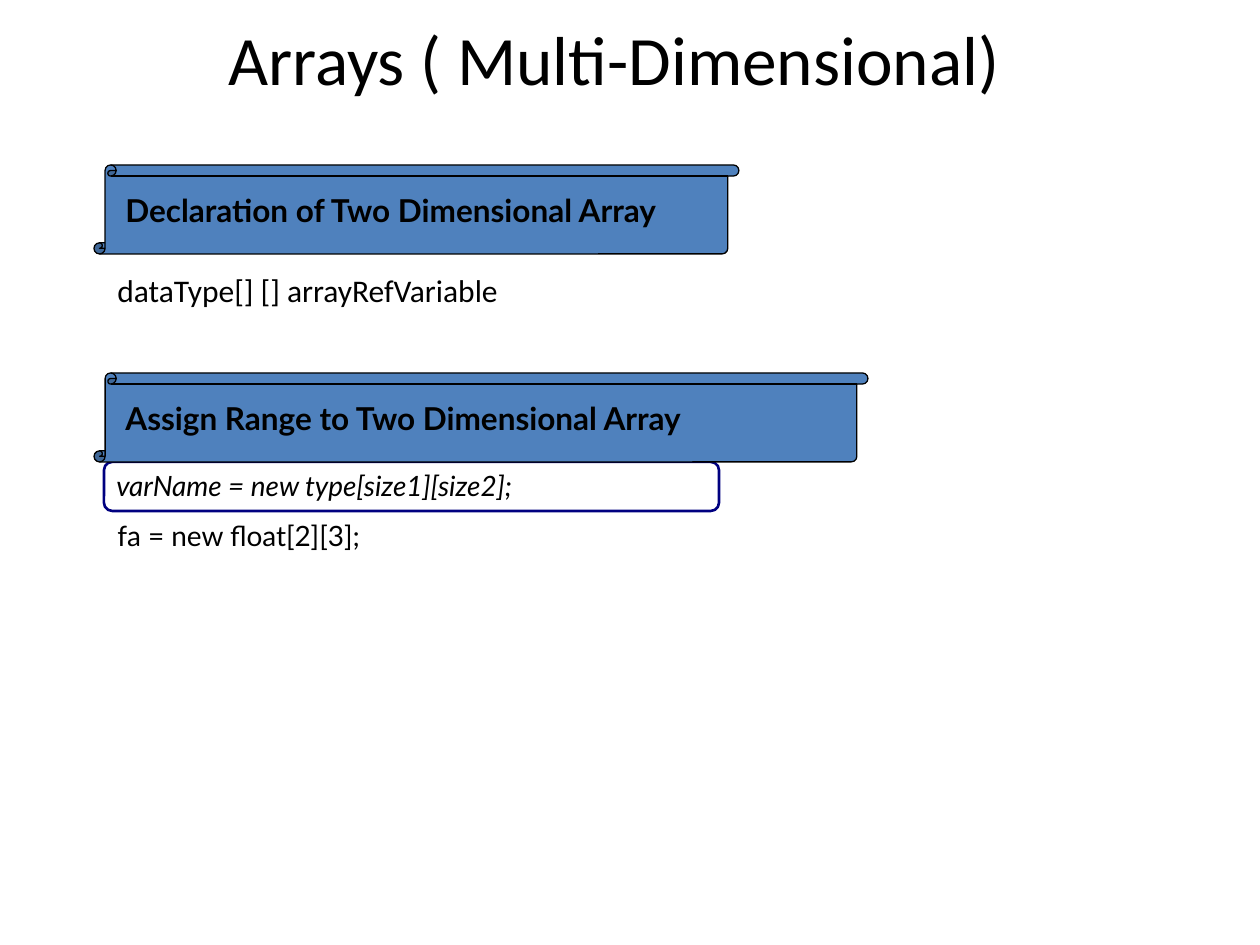
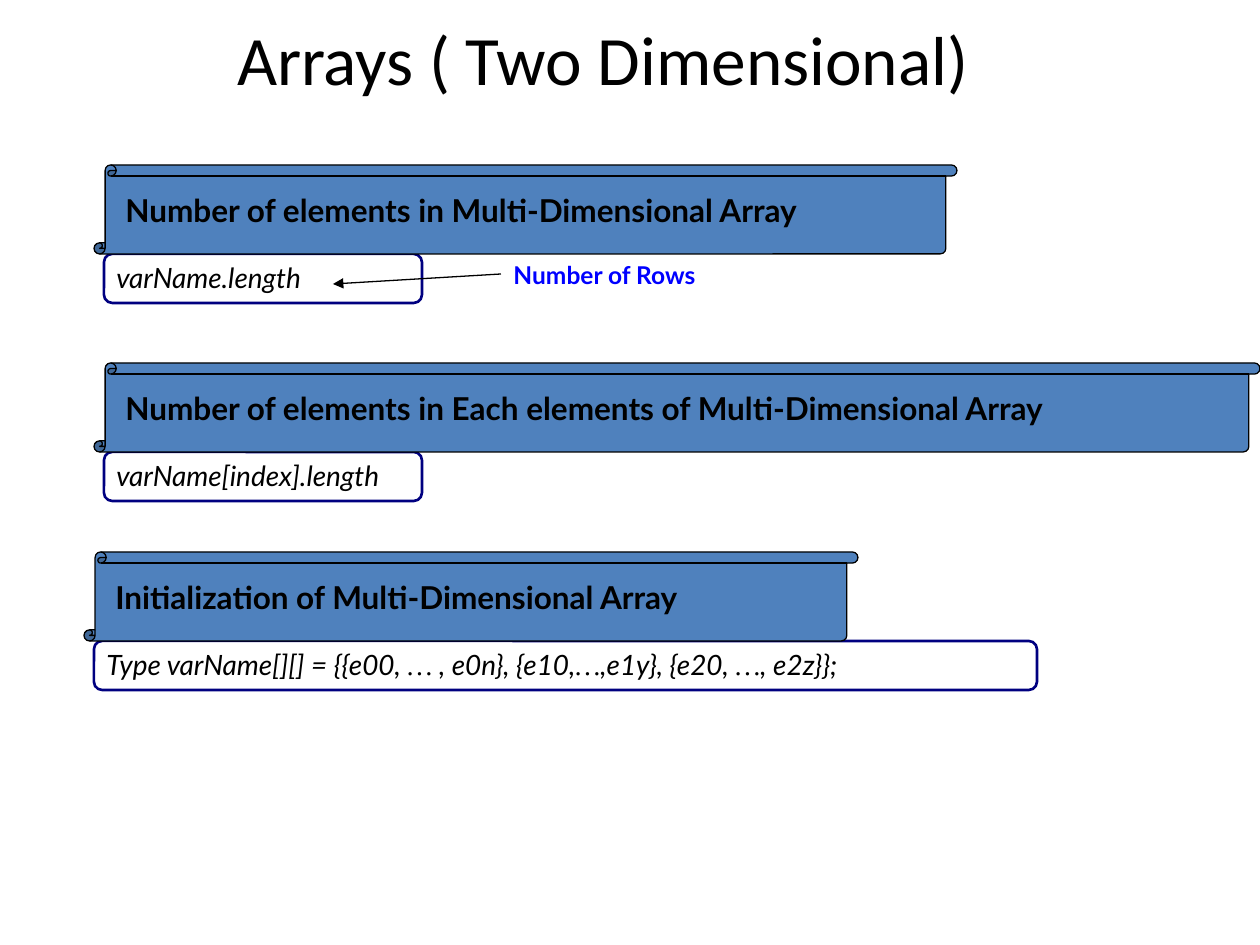
from dataclasses import dataclass
from typing import Optional

import pptx
import pptx.dml.color
import pptx.enum.shapes
import pptx.enum.text
import pptx.oxml
import pptx.oxml.ns
import pptx.util

EMU_PER_PIXEL = 914400 / 126
SLIDE_SIZE = (1260, 945)
RGB = pptx.dml.color.RGBColor
SHAPES = pptx.enum.shapes.MSO_SHAPE
ANCHOR = pptx.enum.text.MSO_ANCHOR
ALIGN = pptx.enum.text.PP_ALIGN


@dataclass(frozen=True)
class TextStyle:
    size: float
    font: str = "Lato"
    color: RGB = RGB(0, 0, 0)
    bold: bool = False
    italic: bool = False


@dataclass(frozen=True)
class Theme:
    ink: RGB = RGB(0, 0, 0)
    scroll: RGB = RGB(0x4F, 0x81, 0xBD)
    frame: RGB = RGB(0, 0, 0x80)
    thin: float = 0.75
    thick: float = 1.5
    ellipsis_font: str = "Times New Roman"
    title: TextStyle = TextStyle(39.6, "Calibri")
    heading: TextStyle = TextStyle(18, bold=True)
    syntax: TextStyle = TextStyle(16, italic=True)
    example: TextStyle = TextStyle(16)
    declaration: TextStyle = TextStyle(18, "Calibri")
    remark: TextStyle = TextStyle(14, color=RGB(0, 0, 0xFF), bold=True)


@dataclass(frozen=True)
class Box:
    left: int
    top: int
    width: int
    height: int

    def emu(self) -> tuple:
        return tuple(px(n) for n in (self.left, self.top, self.width, self.height))


@dataclass(frozen=True)
class Section:
    """A scroll with a heading and, below it, an optional framed line of syntax."""
    left: int
    top: int
    scroll_width: int
    heading: str
    heading_width: int
    syntax: Optional[str] = None
    frame_width: int = 0
    syntax_width: int = 0


THEME = Theme()
SCROLL_HEIGHT = 89
FRAME_HEIGHT = 49
SYNTAX_INDENT = 10
HEADING_INDENT = 19
HEADING_DROP = 20


def px(pixels: int) -> int:
    return pptx.util.Emu(round(pixels * EMU_PER_PIXEL))


def add_text(slide, box: Box, text: str, style: TextStyle,
             align=ALIGN.LEFT, anchor=ANCHOR.TOP) -> None:
    frame = slide.shapes.add_textbox(*box.emu()).text_frame
    frame.word_wrap = True
    frame.vertical_anchor = anchor
    paragraph = frame.paragraphs[0]
    paragraph.alignment = align
    font = paragraph.font
    font.size = pptx.util.Pt(style.size)
    font.name = style.font
    font.bold = style.bold
    font.italic = style.italic
    font.color.rgb = style.color
    # Ellipses are set in their own font
    for index, part in enumerate(text.split("…")):
        if index:
            ellipsis = paragraph.add_run()
            ellipsis.text = "…"
            ellipsis.font.name = THEME.ellipsis_font
        paragraph.add_run().text = part


def add_outline(slide, kind, box: Box, line: RGB, weight: float,
                fill: Optional[RGB] = None) -> None:
    shape = slide.shapes.add_shape(kind, *box.emu())
    shape.shadow.inherit = False
    shape.line.color.rgb = line
    shape.line.width = pptx.util.Pt(weight)
    if fill is None:
        shape.fill.background()
    else:
        shape.fill.solid()
        shape.fill.fore_color.rgb = fill


def add_section(slide, section: Section) -> None:
    left, top = section.left, section.top
    if section.syntax:
        syntax_left, syntax_top = left + SYNTAX_INDENT, top + SCROLL_HEIGHT
        add_outline(slide, SHAPES.ROUNDED_RECTANGLE,
                    Box(syntax_left, syntax_top, section.frame_width, FRAME_HEIGHT),
                    THEME.frame, THEME.thick)
        add_text(slide, Box(syntax_left, syntax_top, section.syntax_width, 47),
                 section.syntax, THEME.syntax)
    add_outline(slide, SHAPES.VERTICAL_SCROLL,
                Box(left, top, section.scroll_width, SCROLL_HEIGHT),
                THEME.ink, THEME.thin, THEME.scroll)
    add_text(slide, Box(left + HEADING_INDENT, top + HEADING_DROP, section.heading_width, 50),
             section.heading, THEME.heading)


def add_arrow(slide, start: tuple, end: tuple) -> None:
    arrow = slide.shapes.add_connector(pptx.enum.shapes.MSO_CONNECTOR.STRAIGHT,
                                       *(px(n) for n in start + end))
    arrow.line.color.rgb = THEME.ink
    arrow.line.width = pptx.util.Pt(THEME.thin)
    # Arrowhead, and no shadow
    qn, parent = pptx.oxml.ns.qn, arrow.line._get_or_add_ln()
    head = parent.makeelement(qn("a:tailEnd"), {"type": "triangle"})
    parent.append(head)
    properties = parent.getparent()
    properties.append(properties.makeelement(qn("a:effectLst"), {}))


def add_slide(deck, title: str, title_left: int, sections: list):
    slide = deck.slides.add_slide(deck.slide_layouts[6])
    add_text(slide, Box(title_left, 21, 1018, 73), title, THEME.title,
             ALIGN.CENTER, ANCHOR.MIDDLE)
    for section in sections:
        add_section(slide, section)
    return slide


deck = pptx.Presentation()
deck.slide_width, deck.slide_height = (px(n) for n in SLIDE_SIZE)

# Declaring and sizing
declaring = add_slide(deck, "Arrays ( Multi-Dimensional)", 105, [
    Section(94, 165, 645, "Declaration of Two Dimensional Array", 694),
    Section(94, 373, 774, "Assign Range to Two Dimensional Array", 725,
            "varName = new type[size1][size2];", 615, 466),
])
add_text(declaring, Box(105, 265, 625, 50), "dataType[] [] arrayRefVariable", THEME.declaration)
add_text(declaring, Box(105, 512, 397, 47), "fa = new float[2][3];", THEME.example)

# Lengths and initial values
measuring = add_slide(deck, "Arrays ( Two Dimensional)", 94, [
    Section(94, 165, 863, "Number of elements in Multi-Dimensional Array", 794,
            "varName.length", 318, 364),
    Section(94, 363, 1166, "Number of elements in Each elements of Multi-Dimensional Array", 1121,
            "varName[index].length", 318, 364),
    Section(84, 552, 774, "Initialization of Multi-Dimensional Array", 725,
            "Type varName[][] = {{e00, … , e0n}, {e10,…,e1y}, {e20, …, e2z}};", 943, 912),
])
add_text(measuring, Box(501, 254, 446, 42), "Number of Rows", THEME.remark)
add_arrow(measuring, (501, 274), (333, 284))

deck.save("out.pptx")
